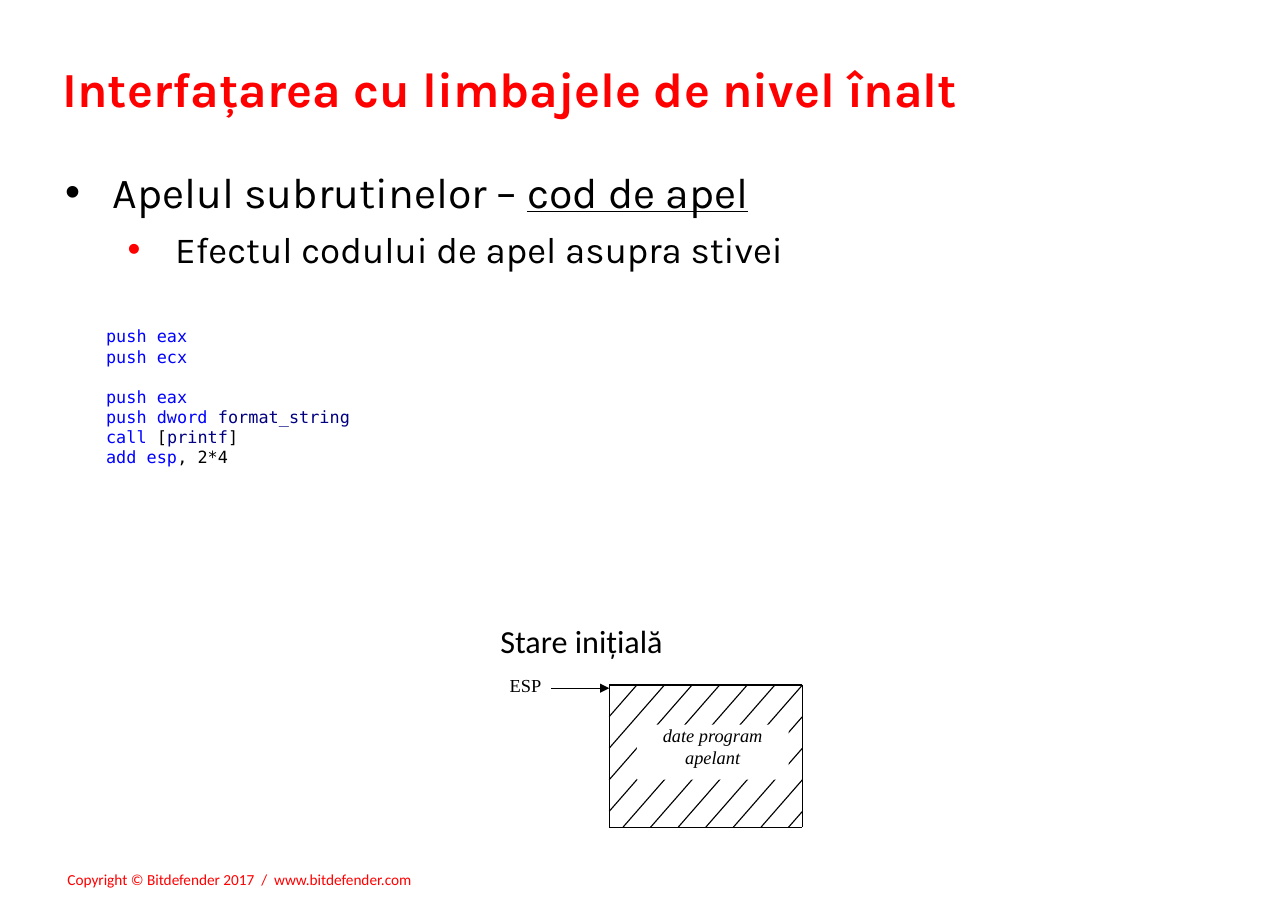
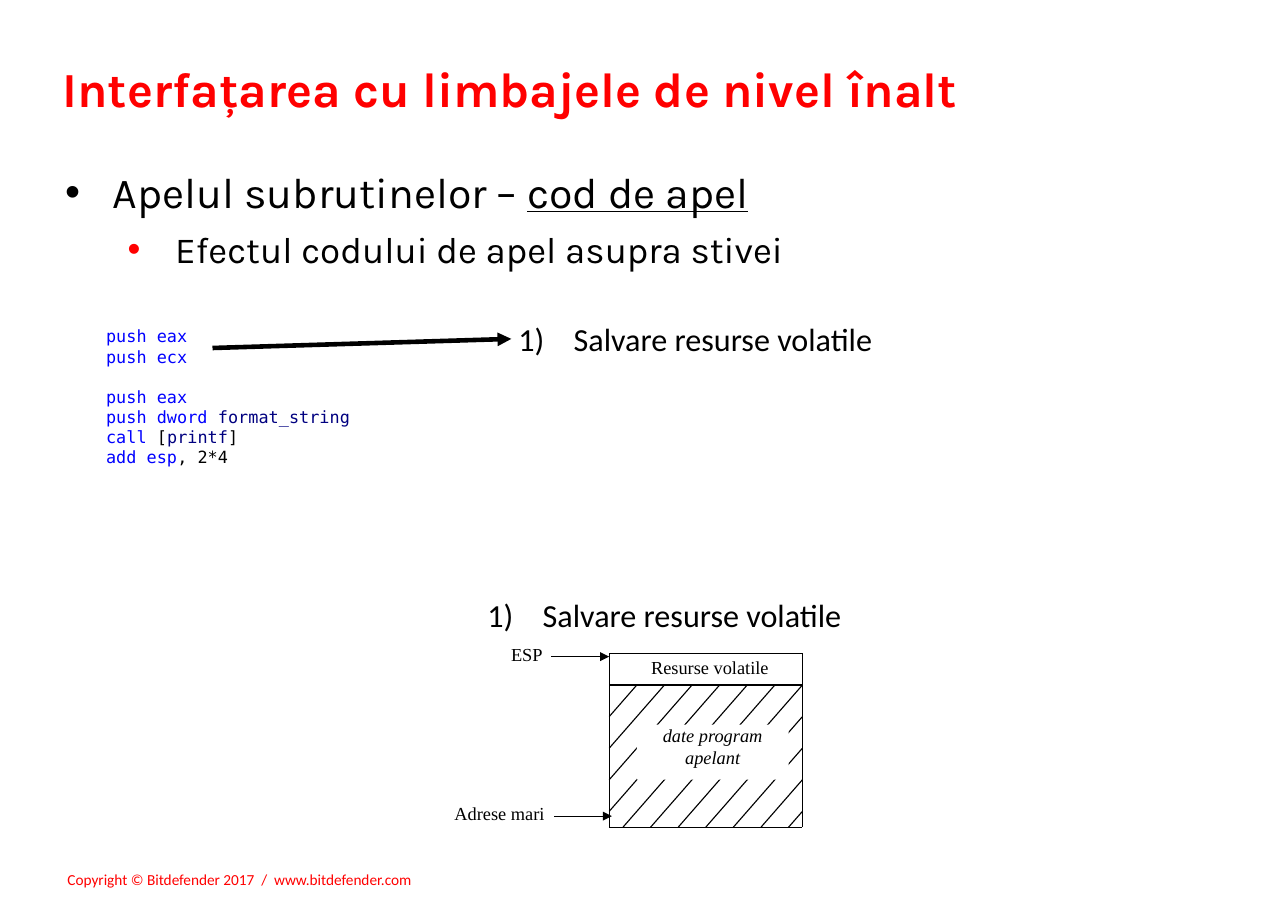
from dataclasses import dataclass
from typing import NamedTuple

from lxml import etree
from pptx import Presentation
from pptx import util as u
from pptx.dml.color import RGBColor
from pptx.enum import shapes, text
from pptx.oxml.ns import qn

WIDTH, HEIGHT = u.Inches(11.69), u.Inches(8.27)
RED = RGBColor(0xFF, 0x00, 0x00)
BLACK = RGBColor(0x00, 0x00, 0x00)
WHITE = RGBColor(0xFF, 0xFF, 0xFF)
BLUE = RGBColor(0x00, 0x00, 0xFF)
NAVY = RGBColor(0x00, 0x00, 0x80)

TITLE = "Interfațarea cu limbajele de nivel înalt"
FOOTER = "Copyright © Bitdefender 2017  /  www.bitdefender.com"
VOLATILE = "Salvare resurse volatile"

STACK_COLUMNS, STACK_ROWS = 7, 4.5
STACK_LEFT, STACK_TOP = 47.3, 75.2
COLUMN = 15 / STACK_COLUMNS
ROW = 15.6 / STACK_ROWS


class Span(NamedTuple):
    text: str
    color: RGBColor = BLACK
    underline: bool = False


class Area(NamedTuple):
    left: float
    top: float
    width: float
    height: float


class Point(NamedTuple):
    across: float
    down: float


@dataclass(frozen=True)
class Style:
    font: str
    size: float
    color: RGBColor = BLACK
    bold: bool = False
    italic: bool = False


@dataclass(frozen=True)
class Pointer:
    label: str
    label_column: float
    label_columns: float
    start: float
    end: float
    row: float


@dataclass(frozen=True)
class ListItem:
    spans: tuple[Span, ...]
    size: float
    indent: float
    bullet_color: RGBColor
    space_before: float


TITLE_STYLE = Style("Karla", 32, RED, bold=True)
FOOTER_STYLE = Style("Calibri", 10, RED)
CAPTION_STYLE = Style("Calibri", 21)
LABEL_STYLE = Style("Times New Roman", 12)
DATA_STYLE = Style("Times New Roman", 12, italic=True)
CODE_STYLE = Style("DejaVu Sans Mono", 11)

ITEMS = (
    ListItem((Span("Apelul subrutinelor – "), Span("cod de apel", underline=True)), 28, 3.7, BLACK, 0),
    ListItem((Span("Efectul codului de apel asupra stivei"),), 24, 8.55, RED, 6),
)
CODE_BLOCKS = (
    (
        (Span("push eax", BLUE),),
        (Span("push ecx", BLUE),),
    ),
    (
        (Span("push eax", BLUE),),
        (Span("push dword ", BLUE), Span("format_string", NAVY)),
        (Span("call", BLUE), Span(" ["), Span("printf", NAVY), Span("]")),
        (Span("add esp", BLUE), Span(", 2*4")),
    ),
)


def across(percent: float) -> int:
    return round(WIDTH * percent / 100)


def down(percent: float) -> int:
    return round(HEIGHT * percent / 100)


def place(shape, area: Area) -> None:
    shape.left, shape.top = across(area.left), down(area.top)
    shape.width, shape.height = across(area.width), down(area.height)


def stack_point(column: float, row: float) -> Point:
    return Point(STACK_LEFT + column * COLUMN, STACK_TOP + row * ROW)


def stack_area(column: float, row: float, columns: float, rows: float) -> Area:
    return Area(*stack_point(column, row), columns * COLUMN, rows * ROW)


def format_span(span, style: Style, color: RGBColor) -> None:
    span.font.name = style.font
    span.font.size = u.Pt(style.size)
    span.font.bold = style.bold
    span.font.italic = style.italic
    span.font.color.rgb = color


def add_spans(para, spans: tuple[Span, ...], style: Style) -> None:
    for part in spans:
        span = para.add_run()
        span.text = part.text
        format_span(span, style, part.color)
        span.font.underline = part.underline


def write(shape, words: str, style: Style, align=text.PP_ALIGN.LEFT) -> None:
    frame = shape.text_frame
    frame.word_wrap = True
    frame.auto_size = text.MSO_AUTO_SIZE.NONE
    frame.vertical_anchor = text.MSO_ANCHOR.TOP
    frame.text = words
    para = frame.paragraphs[0]
    para.alignment = align
    format_span(para.runs[0], style, style.color)


def add_bullet(para, kind: str, indent: float, hanging: float, color: RGBColor, **marker: str) -> None:
    props = para._p.get_or_add_pPr()
    props.set("marL", str(across(indent)))
    props.set("indent", str(-across(hanging)))
    bullet_color = etree.SubElement(props, qn("a:buClr"))
    etree.SubElement(bullet_color, qn("a:srgbClr"), val=str(color))
    etree.SubElement(props, qn("a:buFont"), typeface="Arial" if kind == "a:buChar" else "+mj-lt")
    etree.SubElement(props, qn(kind), **marker)


def add_text(page, area: Area, words: str, style: Style):
    box = page.shapes.add_textbox(0, 0, 0, 0)
    place(box, area)
    write(box, words, style)
    return box


def add_step(page, left: float, top: float) -> None:
    box = add_text(page, Area(left, top, 30, 5.4), VOLATILE, CAPTION_STYLE)
    add_bullet(box.text_frame.paragraphs[0], "a:buAutoNum", 4.3, 4.3, BLACK, type="arabicParenR")


def add_line(page, start: Point, end: Point, weight: float = 0.75, arrow: bool = False) -> None:
    line = page.shapes.add_connector(
        shapes.MSO_CONNECTOR.STRAIGHT,
        across(start.across), down(start.down), across(end.across), down(end.down),
    )
    line.line.color.rgb = BLACK
    line.line.width = u.Pt(weight)
    props = line.element.spPr
    if arrow:
        etree.SubElement(props.find(qn("a:ln")), qn("a:tailEnd"), type="triangle")
    etree.SubElement(props, qn("a:effectLst"))


def add_patch(page, area: Area, words: str, style: Style) -> None:
    patch = page.shapes.add_shape(shapes.MSO_SHAPE.RECTANGLE, 0, 0, 0, 0)
    place(patch, area)
    patch.shadow.inherit = False
    patch.fill.solid()
    patch.fill.fore_color.rgb = WHITE
    patch.line.fill.background()
    frame = patch.text_frame
    frame.margin_left = frame.margin_right = frame.margin_top = frame.margin_bottom = 0
    write(patch, words, style, text.PP_ALIGN.CENTER)


def add_pointer(page, pointer: Pointer) -> None:
    add_line(page, stack_point(pointer.start, pointer.row), stack_point(pointer.end, pointer.row), arrow=True)
    label_area = stack_area(pointer.label_column, pointer.row - 0.6, pointer.label_columns, 1.5)
    add_text(page, label_area, pointer.label, LABEL_STYLE)


def add_stack(page, top_row: float, pointers: tuple[Pointer, ...]) -> None:
    for diagonal in range(1, 12):
        start = stack_point(min(diagonal, STACK_COLUMNS), max(0, diagonal - STACK_COLUMNS))
        end = stack_point(max(0, diagonal - STACK_ROWS), min(diagonal, STACK_ROWS))
        add_line(page, start, end)
    add_patch(page, stack_area(1, 1.25, 5.5, 1.75), "date program apelant", DATA_STYLE)
    if top_row < 0:
        add_patch(page, stack_area(0.9, top_row + 0.1, 5.5, 0.85), "Resurse volatile", LABEL_STYLE)
    for row in sorted({top_row, 0, STACK_ROWS}):
        add_line(page, stack_point(0, row), stack_point(STACK_COLUMNS, row))
    for column in (0, STACK_COLUMNS):
        add_line(page, stack_point(column, top_row), stack_point(column, STACK_ROWS))
    for pointer in pointers:
        add_pointer(page, pointer)


def add_code(page) -> None:
    box = page.shapes.add_textbox(0, 0, 0, 0)
    place(box, Area(7.4, 35.2, 30.5, 16.8))
    frame = box.text_frame
    frame.word_wrap = True
    for block_index, block in enumerate(CODE_BLOCKS):
        for line_index, spans in enumerate(block):
            first = block_index == line_index == 0
            para = frame.paragraphs[0] if first else frame.add_paragraph()
            if block_index and not line_index:
                para.space_before = u.Pt(13)
            add_spans(para, spans, CODE_STYLE)


def fill_list(body) -> None:
    place(body, Area(4.2, 17.6, 87, 13.2))
    frame = body.text_frame
    frame.auto_size = text.MSO_AUTO_SIZE.NONE
    frame.vertical_anchor = text.MSO_ANCHOR.TOP
    for level, item in enumerate(ITEMS):
        para = frame.add_paragraph() if level else frame.paragraphs[0]
        para.level = level
        para.space_before = u.Pt(item.space_before)
        add_bullet(para, "a:buChar", item.indent, 3.7, item.bullet_color, char="•")
        add_spans(para, item.spans, Style("Karla", item.size))


def add_page(deck, layout):
    page = deck.slides.add_slide(layout)
    place(page.shapes.title, Area(4, 5.8, 76.1, 9.6))
    write(page.shapes.title, TITLE, TITLE_STYLE)
    fill_list(page.placeholders[1])
    add_code(page)
    return page


def main() -> None:
    deck = Presentation()
    deck.slide_width, deck.slide_height = WIDTH, HEIGHT
    layout = deck.slide_layouts[1]

    initial = add_page(deck, layout)
    footer = add_text(initial, Area(4.4, 94.9, 30, 3.4), FOOTER, FOOTER_STYLE)
    layout.shapes.element.append(footer.element)
    add_text(initial, Area(38, 67.6, 20, 5.4), "Stare inițială", CAPTION_STYLE)
    add_stack(initial, 0, (Pointer("ESP", -4, 2, -2.1, 0, 0.1),))

    saved = add_page(deck, layout)
    add_step(saved, 39.4, 34.5)
    add_line(saved, Point(16.5, 38.2), Point(39.7, 37.2), weight=3, arrow=True)
    add_step(saved, 37, 64.8)
    add_stack(saved, -1, (
        Pointer("ESP", -3.95, 2, -2.1, 0, -0.9),
        Pointer("Adrese mari", -6, 4.3, -2, 0.1, 4.15),
    ))

    deck.save("out.pptx")


if __name__ == "__main__":
    main()
